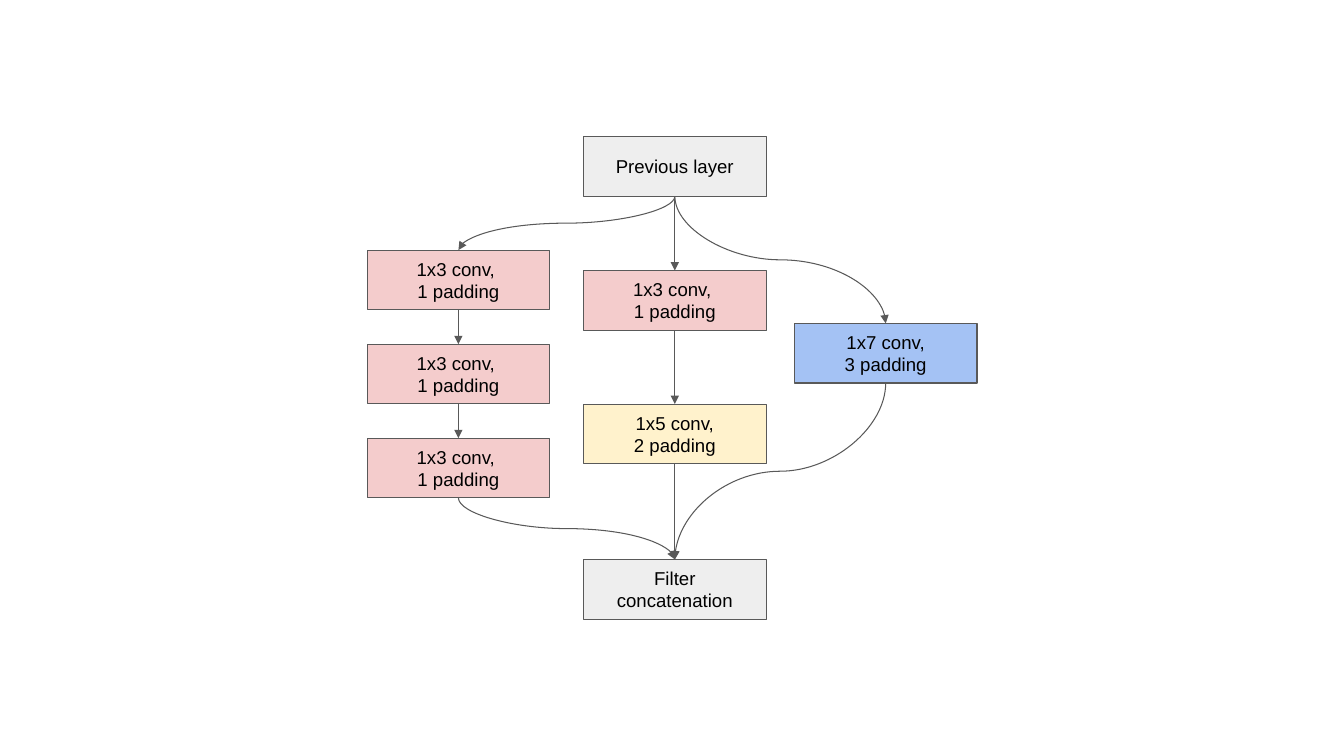
import pptx
import pptx.dml.color
import pptx.enum.shapes
import pptx.enum.text
import pptx.oxml
import pptx.oxml.ns
import pptx.util

Pt = pptx.util.Pt
KIND = pptx.enum.shapes.MSO_CONNECTOR
TOP, BOTTOM = 0, 2  # connection sites of a rectangle


def color(fmt, code):
    """Set a fill, or a font's or line's colour, to a hex colour."""
    if hasattr(fmt, "solid"):
        fmt.solid()
        fmt = fmt.fore_color
    else:
        fmt = fmt.color
    fmt.rgb = pptx.dml.color.RGBColor.from_string(code)


def put(item, values):
    """Set each named attribute on an item."""
    for name, value in values.items():
        setattr(item, name, value)


class Chart:
    wide, high = 130.5, 42.6
    ink, edge = "000000", "595959"
    font = {"name": "Arial", "size": Pt(13.3)}
    line = {"width": Pt(0.75)}
    frame = {
        "word_wrap": True,
        "vertical_anchor": pptx.enum.text.MSO_ANCHOR.MIDDLE,
        **{"margin_" + side: Pt(9.6)
           for side in ("left", "top", "right", "bottom")},
    }

    def __init__(self, slide):
        self.slide = slide

    def box(self, left, top, text, fill):
        node = self.slide.shapes.add_shape(
            pptx.enum.shapes.MSO_SHAPE.RECTANGLE,
            Pt(left), Pt(top), Pt(self.wide), Pt(self.high))
        node.shadow.inherit = False
        color(node.fill, fill)
        color(node.line, self.edge)
        put(node.line, self.line)
        put(node.text_frame, self.frame)
        node.text_frame.text = text
        for para in node.text_frame.paragraphs:
            para.alignment = pptx.enum.text.PP_ALIGN.CENTER
            put(para.font, self.font)
            color(para.font, self.ink)
        return node

    def arrow(self, start, end):
        """Join two boxes downward: straight in a column, else curved."""
        bent = start.left != end.left
        kind = KIND.CURVE if bent else KIND.STRAIGHT
        link = self.slide.shapes.add_connector(kind, 0, 0, 0, 0)
        link.begin_connect(start, BOTTOM)
        link.end_connect(end, TOP)
        if bent:
            self.turn(link)
        color(link.line, self.edge)
        put(link.line, self.line)
        props = link._element.spPr
        tail = pptx.oxml.parse_xml(
            '<a:tailEnd %s type="triangle"/>' % pptx.oxml.ns.nsdecls("a"))
        props.find(pptx.oxml.ns.qn("a:ln")).append(tail)
        props.append(pptx.oxml.parse_xml(
            "<a:effectLst %s/>" % pptx.oxml.ns.nsdecls("a")))

    def turn(self, link):
        """Rotate a curve so that it leaves and arrives vertically."""
        dx, dy = link.end_x - link.begin_x, link.end_y - link.begin_y
        wide, high = abs(dy), abs(dx)
        left = (link.begin_x + link.end_x - wide) // 2
        top = (link.begin_y + link.end_y - high) // 2
        put(link, {"left": left, "top": top, "width": wide, "height": high})
        form = link._element.spPr.find(pptx.oxml.ns.qn("a:xfrm"))
        form.set("rot", str((270 if dx > 0 else 90) * 60000))
        form.set("flipH", "1" if dx > 0 else "0")
        form.set("flipV", "0")


def main():
    deck = pptx.Presentation()
    put(deck, {"slide_width": Pt(960), "slide_height": Pt(540)})
    chart = Chart(deck.slides.add_slide(deck.slide_layouts[6]))

    gray, pink, cream, blue = "EEEEEE", "F4CCCC", "FFF2CC", "A4C2F4"
    left, mid, right = 262.2, 416.8, 567.4
    small = ("1x3 conv, \n1 padding", pink)
    first = chart.box(mid, 97.6, "Previous layer", gray)
    last = chart.box(mid, 399.6, "Filter concatenation", gray)
    paths = [
        [chart.box(left, 178.6 + 67.2 * row, *small) for row in range(3)],
        [chart.box(mid, 193.2, *small),
         chart.box(mid, 288.6, "1x5 conv,\n2 padding", cream)],
        [chart.box(right, 231, "1x7 conv,\n3 padding", blue)],
    ]
    for steps in paths:
        nodes = [first, *steps, last]
        for start, end in zip(nodes, nodes[1:]):
            chart.arrow(start, end)

    deck.save("out.pptx")


if __name__ == "__main__":
    main()
